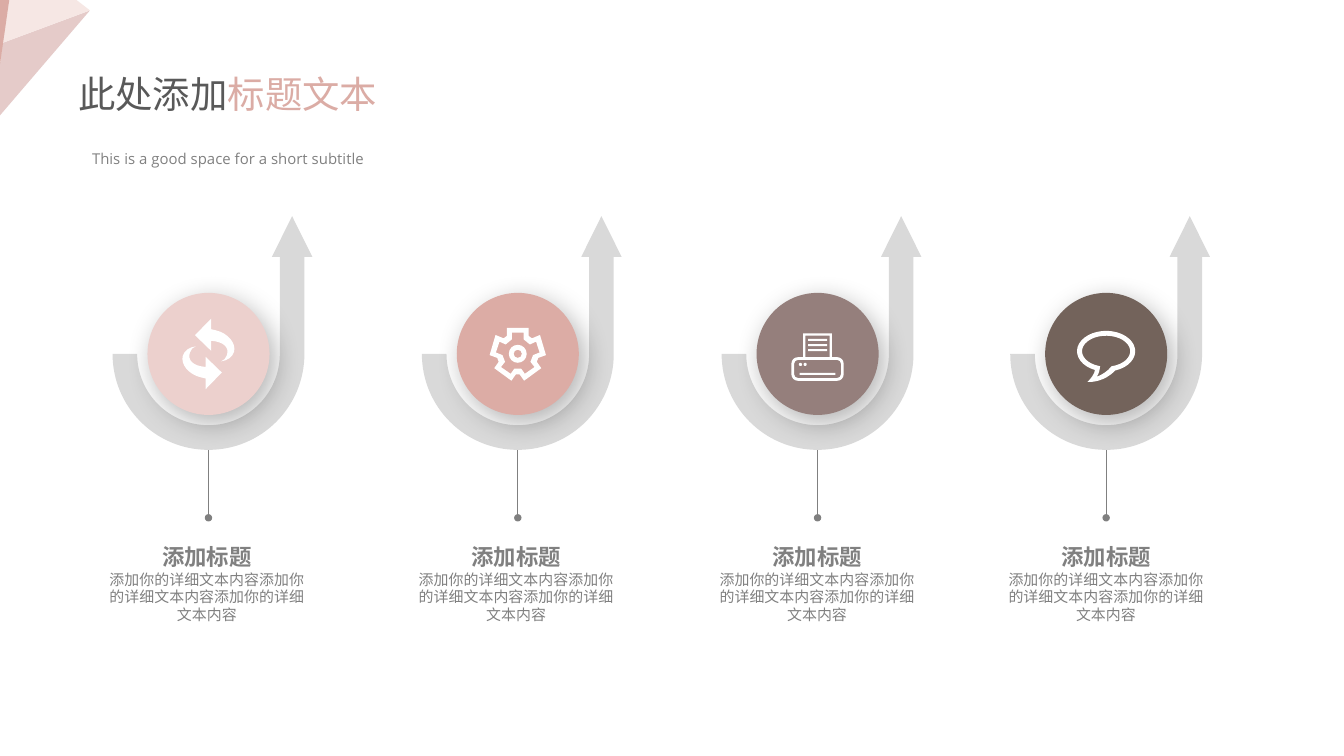
from math import ceil, cos, radians, sin, tan

from lxml import etree
from pptx import Presentation
from pptx.dml.color import RGBColor
from pptx.enum.shapes import MSO_CONNECTOR, MSO_SHAPE
from pptx.enum.text import MSO_ANCHOR, MSO_AUTO_SIZE, PP_ALIGN
from pptx.oxml import parse_xml
from pptx.oxml.ns import nsdecls, qn
from pptx.util import Pt

FONT = "Open Sans"
COLORS = {
    "dark": "595959", "gray": "808080", "track": "D9D9D9", "white": "FFFFFF",
    "accent": "DBACA5", "rose": "E5CBC9", "pale": "F6E7E4",
    "blush": "ECD0CD", "coral": "DCACA5", "mauve": "957F7C", "brown": "73635B",
}

TITLE = [("此处添加", "dark"), ("标题文本", "accent")]
SUBTITLE = "This is a good space for a short subtitle"
HEADING = "添加标题"
DETAIL = "添加你的详细文本内容" * 3
STEPS = [  # centre x, left of the label, circle colour, icon
    (111.7, 54.7, "blush", "refresh"),
    (277.4, 220.4, "coral", "gear"),
    (438, 381.6, "mauve", "printer"),
    (592.6, 536.4, "brown", "bubble"),
]
CORNER = [
    ("rose", [(48.2, 5.6), (1.4, 23), (0, 34.6), (0, 61.8)]),
    ("pale", [(48.2, 5.6), (41, 0), (5, 0), (1.4, 23)]),
    ("accent", [(5, 0), (0, 0), (0, 34.6)]),
]
CENTER_Y = 189.6
RADIUS = 32.7

# A contour lists points (x, y) and curves (control, control, end).


def arc(x, y, rx, ry, start, end):
    """Start point and curves of an elliptical arc; degrees run clockwise from the right."""
    count = ceil(abs(end - start) / 90)
    step = radians((end - start) / count)
    pull = 4 / 3 * tan(step / 4)

    def at(angle, shift=0):
        return (x + rx * (cos(angle) - shift * sin(angle)),
                y + ry * (sin(angle) + shift * cos(angle)))

    angles = [radians(start) + step * i for i in range(count + 1)]
    return [at(angles[0])] + [(at(a, pull), at(b, -pull), at(b))
                              for a, b in zip(angles, angles[1:])]


def is_curve(part):
    return len(part) == 3


def flip(part, sx, sy):
    if is_curve(part):
        return tuple(flip(point, sx, sy) for point in part)
    return (part[0] * sx, part[1] * sy)


def mirrored(left_half):
    return left_half + [flip(point, -1, 1) for point in reversed(left_half)]


def box(x, y, width, height):
    return [(x, y), (x + width, y), (x + width, y + height), (x, y + height)]


def rounded(x, y, width, height, r):
    centers = box(x + r, y + r, width - 2 * r, height - 2 * r)
    return [part for (cx, cy), turn in zip(centers, (180, 270, 360, 450))
            for part in arc(cx, cy, r, r, turn, turn + 90)]


# Outlines are relative to the centre of a step's circle.
TRACK = [[(44.8, -73.8), (34, -52), (38.2, -52),
          *arc(0, 0, 38.2, 38.2, 0, 180), *arc(0, 0, 51.4, 51.4, 180, 0),
          (51.4, -52), (55.6, -52)]]

REFRESH_ARROW = [
    (4, -12.6), (1.5, -13.2), (1.5, -18.9), (-7.2, -10), (1.5, -1.6), (1.5, -7),
    ((8.3, -6.5), (11.3, -3.3), (9.9, 0.7)),
    ((9.4, 2.4), (8.2, 3.6), (6.8, 4)),
    ((10, 3.6), (12.8, 1.9), (13.7, -1)),
    ((15, -5.5), (10.7, -11), (4, -12.6)),
]
GEAR_OUTER = [(-5.8, -13.9), (-5.8, -9.6), (-7.6, -8.3), (-11.9, -10.1), (-15.1, 0.7),
              (-11, 2.2), (-10.2, 4.3), (-12.6, 7.7), (-3.4, 14.4), (-1, 11)]
GEAR_INNER = [(-3.2, -11.3), (-3.2, -7.7), (-6.5, -5), (-9.8, -6.5), (-11.7, -0.7),
              (-8.2, 0.7), (-6.8, 4.3), (-9, 7.1), (-3.8, 10.7), (-1.8, 7.9)]
BUBBLE = [
    *arc(0, -1.4, 15.6, 10.9, 112, 432),
    ((-0.8, 15), (-8, 15.2), (-10, 15.1)),
    ((-8, 13), (-6.2, 11), (-5.9, 8.2)),
]
BUBBLE_HOLE = [
    *arc(0, -1.4, 12.9, 8.3, 107, 437),
    ((0.8, 9.4), (-2.5, 11.4), (-5, 12.3)),
    ((-3.8, 10.4), (-3.5, 9), (-3.2, 6.6)),
]
ICONS = {
    "refresh": [REFRESH_ARROW, [flip(part, -1, -1) for part in REFRESH_ARROW]],
    "gear": [mirrored(GEAR_OUTER), mirrored(GEAR_INNER),
             arc(0, 0, 4.8, 4.8, 0, 360), arc(0, 0, 2.2, 2.2, 0, 360)],
    "printer": [rounded(-14, 1.8, 28, 12.6, 3.4), rounded(-12.6, 3.2, 25.2, 9.8, 2.2),
                box(-7.7, -11, 15.4, 12.8), box(-6.5, -9.8, 13, 11.6)],
    "bubble": [BUBBLE, BUBBLE_HOLE],
}
PRINTER_DETAILS = [(MSO_SHAPE.RECTANGLE, -9.6, 10.2, 19.2, 1.1)]
PRINTER_DETAILS += [(MSO_SHAPE.RECTANGLE, -5.1, y, 10.2, 1.1) for y in (-8, -5.3, -2.6)]
PRINTER_DETAILS += [(MSO_SHAPE.OVAL, x, 4.8, 1.7, 1.7) for x in (-10, -7.5)]


def rgb(name):
    return RGBColor.from_string(COLORS[name])


def paint(shape, color):
    shape.shadow.inherit = False
    shape.fill.solid()
    shape.fill.fore_color.rgb = rgb(color)
    shape.line.fill.background()


def bend(shape, contours):
    """Join the three line segments that stand for each curve into one."""
    outline = next(shape._element.iter(qn("a:path")))
    segments = iter(outline.findall(qn("a:lnTo")))
    for part in (part for contour in contours for part in contour[1:]):
        segment = next(segments)
        if is_curve(part):
            segment.tag = qn("a:cubicBezTo")
            for extra in (next(segments), next(segments)):
                segment.append(extra[0])
                outline.remove(extra)


def add_outline(contours, color, x=0, y=0):
    """Fill closed contours shifted to (x, y); a nested contour is a hole."""
    builder = None
    for contour in contours:
        flat = [p for part in contour for p in (part if is_curve(part) else [part])]
        points = [(Pt(x + px), Pt(y + py)) for px, py in flat]
        if builder is None:
            builder = shapes.build_freeform(*points[0])
        else:
            builder.move_to(*points[0])
        builder.add_line_segments(points[1:], close=True)
    shape = builder.convert_to_shape()
    bend(shape, contours)
    paint(shape, color)


def add_preset(kind, left, top, width, height, color):
    shape = shapes.add_shape(kind, Pt(left), Pt(top), Pt(width), Pt(height))
    paint(shape, color)
    return shape


def add_text(left, top, width, height):
    frame = shapes.add_textbox(Pt(left), Pt(top), Pt(width), Pt(height)).text_frame
    frame.word_wrap = True
    frame.auto_size = MSO_AUTO_SIZE.SHAPE_TO_FIT_TEXT
    return frame


def style(font, size, color, bold=False):
    font.name, font.size, font.bold = FONT, Pt(size), bold
    font.color.rgb = rgb(color)


def add_stem(x):
    stem = shapes.add_connector(MSO_CONNECTOR.STRAIGHT, Pt(x), Pt(239.8), Pt(x), Pt(277.4))
    stem.line.color.rgb = rgb("gray")
    stem.line.width = Pt(0.5)
    etree.SubElement(stem.line._get_or_add_ln(), qn("a:tailEnd"),
                     type="oval", w="sm", len="sm")
    etree.SubElement(stem._element.spPr, qn("a:effectLst"))


def add_circle(x, color):
    circle = add_preset(MSO_SHAPE.OVAL, x - RADIUS, CENTER_Y - RADIUS,
                        2 * RADIUS, 2 * RADIUS, color)
    circle._element.spPr.find(qn("a:effectLst")).append(parse_xml(
        f'<a:outerShdw {nsdecls("a")} blurRad="{Pt(15)}" dist="{Pt(5)}" '
        f'dir="{55 * 60000}" algn="ctr" rotWithShape="0"><a:srgbClr val="000000">'
        '<a:alpha val="30000"/></a:srgbClr></a:outerShdw>'))


def add_label(left):
    frame = add_text(left, 288.2, 112.3, 46.8)
    frame.margin_left = frame.margin_right = frame.margin_top = frame.margin_bottom = 0
    frame.text = f"{HEADING}\n{DETAIL}"
    heading, detail = frame.paragraphs
    heading.alignment = detail.alignment = PP_ALIGN.CENTER
    heading.line_spacing = 1.2
    style(heading.runs[0].font, 12, "gray", bold=True)
    style(detail.runs[0].font, 8, "gray")


deck = Presentation()
deck.slide_width, deck.slide_height = Pt(720), Pt(405)
slide = deck.slides.add_slide(deck.slide_layouts[5])
shapes = slide.shapes

for color, points in CORNER:
    add_outline([points], color)
title = shapes.title
title.left, title.top, title.width, title.height = Pt(34.6), Pt(34.6), Pt(183.6), Pt(31.5)
title.text_frame.auto_size = MSO_AUTO_SIZE.SHAPE_TO_FIT_TEXT
title.text_frame.vertical_anchor = MSO_ANCHOR.TOP
title_line = title.text_frame.paragraphs[0]
title_line.alignment = PP_ALIGN.LEFT
for words, color in TITLE:
    run = title_line.add_run()
    run.text = words
    style(run.font, 20, color)
subtitle = add_text(42.2, 76.6, 178.6, 17.3)
subtitle.text = SUBTITLE
style(subtitle.paragraphs[0].runs[0].font, 8, "gray")
for x, label_left, color, icon in STEPS:
    add_stem(x)
    add_outline(TRACK, "track", x, CENTER_Y)
    add_label(label_left)
    add_circle(x, color)
    add_outline(ICONS[icon], "white", x, CENTER_Y)
    if icon == "printer":
        for kind, dx, dy, width, height in PRINTER_DETAILS:
            add_preset(kind, x + dx, CENTER_Y + dy, width, height, "white")
deck.save("out.pptx")
